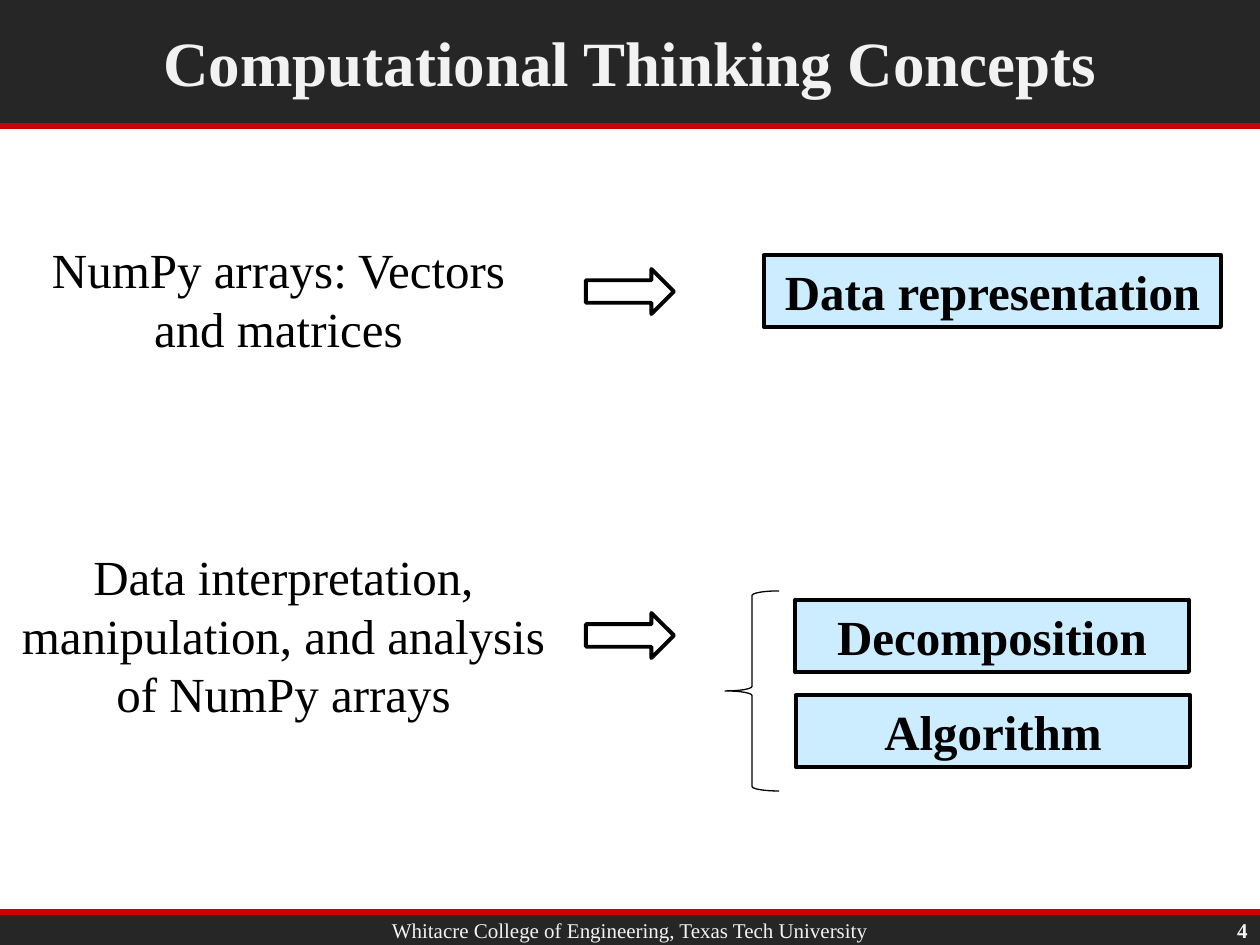
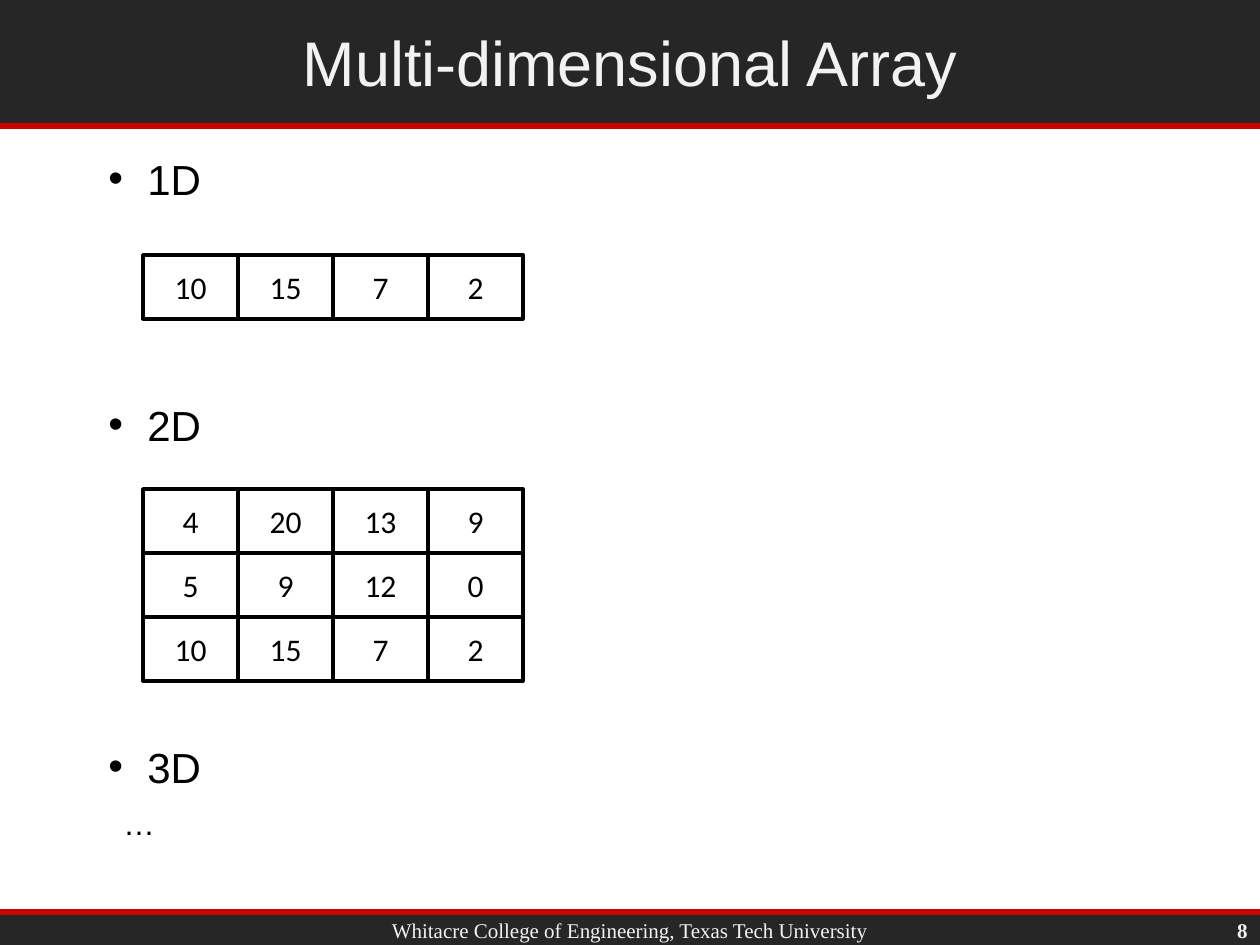
from lxml.etree import SubElement
from pptx import Presentation
from pptx.dml.color import RGBColor
from pptx.enum.shapes import MSO_CONNECTOR, MSO_SHAPE
from pptx.enum.text import MSO_ANCHOR, MSO_AUTO_SIZE, PP_ALIGN
from pptx.oxml.ns import qn
from pptx.util import Emu, Pt

PX_PER_INCH = 126
SLIDE_W, SLIDE_H = 1260, 945
HEADER_H, FOOTER_TOP = 126, 912
TITLE_ONLY = 5

DARK, RED, PALE, BLACK, SKY = "262626", "CC0000", "F2F2F2", "000000", "CCECFF"
SERIF, SANS, CELL_FONT = "Times New Roman", "Arial", "Calibri"
COLLEGE = "Whitacre College of Engineering, Texas Tech University"
CELL_W, CELL_H, GRID_LEFT = 95, 64, 143


def px(length):
    """Turn a length in px into EMU."""
    return Emu(round(length * 914400 / PX_PER_INCH))


def color(hex_code):
    """Turn a hex string into a colour."""
    return RGBColor.from_string(hex_code)


def write(shape, text, size, font, ink=BLACK, bold=False,
          align=PP_ALIGN.CENTER, anchor=MSO_ANCHOR.TOP):
    """Put one formatted paragraph into a shape and return it."""
    frame = shape.text_frame
    frame.text = text
    frame.word_wrap = True
    frame.auto_size = MSO_AUTO_SIZE.NONE
    frame.vertical_anchor = anchor
    paragraph = frame.paragraphs[0]
    paragraph.alignment = align
    for run in paragraph.runs:
        run.font.size = Pt(size)
        run.font.name = font
        run.font.bold = bold
        run.font.color.rgb = color(ink)
    return paragraph


def add_label(slide, box, text, size, font, **style):
    """Add a text box and return its paragraph."""
    label = slide.shapes.add_textbox(*map(px, box))
    return write(label, text, size, font, **style)


def add_figure(slide, preset, box, fill=None, line_width=None):
    """Add a preset shape with an optional fill and black outline."""
    figure = slide.shapes.add_shape(preset, *map(px, box))
    figure.shadow.inherit = False
    if fill:
        figure.fill.solid()
        figure.fill.fore_color.rgb = color(fill)
    else:
        figure.fill.background()
    if line_width:
        figure.line.color.rgb = color(BLACK)
        figure.line.width = Pt(line_width)
    else:
        figure.line.fill.background()
    return figure


def add_rule(slide, y):
    """Draw a red line across the slide."""
    rule = slide.shapes.add_connector(MSO_CONNECTOR.STRAIGHT, 0, px(y), px(SLIDE_W), px(y))
    rule.line.color.rgb = color(RED)
    rule.line.width = Pt(3)
    SubElement(rule._element.spPr, qn("a:effectLst"))


def add_framed_slide(deck, title, number, title_font, bold=False):
    """Add a slide with its bands, title, footer and number."""
    slide = deck.slides.add_slide(deck.slide_layouts[TITLE_ONLY])
    for top, height, rule_y in ((0, HEADER_H, HEADER_H),
                                (FOOTER_TOP, SLIDE_H - FOOTER_TOP, FOOTER_TOP)):
        add_figure(slide, MSO_SHAPE.RECTANGLE, (0, top, SLIDE_W, height), DARK)
        add_rule(slide, rule_y)
    add_label(slide, (127, 911, 1006, 38), COLLEGE, 12, SERIF,
              ink=PALE, anchor=MSO_ANCHOR.MIDDLE)
    add_label(slide, (1169, 914, 91, 33), str(number), 12, SERIF, ink=PALE,
              bold=True, align=PP_ALIGN.RIGHT, anchor=MSO_ANCHOR.MIDDLE)
    heading = slide.shapes.title
    heading.left, heading.top, heading.width, heading.height = map(px, (127, 5, 1006, 112))
    write(heading, title, 36, title_font, ink=PALE, bold=bold, anchor=MSO_ANCHOR.MIDDLE)
    slide.shapes._spTree.append(heading._element)
    return slide


def add_concept(slide, left, top, width, text):
    """Add a light blue box naming a concept."""
    concept = add_figure(slide, MSO_SHAPE.RECTANGLE, (left, top, width, 72), SKY, 2.25)
    write(concept, text, 28, SERIF, bold=True)


def add_bullet(slide, top, text):
    """Add a bulleted dimension heading."""
    paragraph = add_label(slide, (96, top, 1106, 63), text, 24, SANS, align=PP_ALIGN.LEFT)
    properties = paragraph._p.get_or_add_pPr()
    properties.set("marL", str(px(39)))
    properties.set("indent", str(px(-39)))
    SubElement(properties, qn("a:buFont"), typeface=SANS)
    SubElement(properties, qn("a:buChar"), char="•")


def add_array(slide, top, rows):
    """Draw an array as a grid of outlined cells."""
    for row, values in enumerate(rows):
        for column, value in enumerate(values):
            box = (GRID_LEFT + column * CELL_W, top + row * CELL_H, CELL_W, CELL_H)
            cell = add_figure(slide, MSO_SHAPE.RECTANGLE, box, line_width=2)
            write(cell, str(value), 18, CELL_FONT, anchor=MSO_ANCHOR.MIDDLE)


def build_concepts(deck):
    """Build the slide linking NumPy topics to concepts."""
    slide = add_framed_slide(deck, "Computational Thinking Concepts", 4, SERIF, bold=True)
    add_label(slide, (38, 233, 481, 131), "NumPy arrays: Vectors and matrices", 28, SERIF)
    add_label(slide, (0, 540, 567, 190),
              "Data interpretation, manipulation, and analysis of NumPy arrays", 28, SERIF)
    for arrow_top in (269, 613):
        add_figure(slide, MSO_SHAPE.RIGHT_ARROW, (586, arrow_top, 88, 45), line_width=2.25)
    add_concept(slide, 764, 255, 457, "Data representation")
    add_concept(slide, 795, 600, 394, "Decomposition")
    add_concept(slide, 796, 695, 394, "Algorithm")
    add_figure(slide, MSO_SHAPE.LEFT_BRACE, (725, 591, 54, 200), line_width=0.75)


def build_arrays(deck):
    """Build the slide showing arrays by dimension."""
    slide = add_framed_slide(deck, "Multi-dimensional Array", 8, SANS)
    for top, dimension in ((147, "1D"), (393, "2D"), (735, "3D")):
        add_bullet(slide, top, dimension)
    last_row = (10, 15, 7, 2)
    add_array(slide, 255, [last_row])
    add_array(slide, 489, [(4, 20, 13, 9), (5, 9, 12, 0), last_row])
    add_label(slide, (111, 798, 413, 50), "…", 18, SANS, align=PP_ALIGN.LEFT)


def main():
    """Build and save the deck."""
    deck = Presentation()
    deck.slide_width, deck.slide_height = px(SLIDE_W), px(SLIDE_H)
    build_concepts(deck)
    build_arrays(deck)
    deck.save("out.pptx")


if __name__ == "__main__":
    main()
